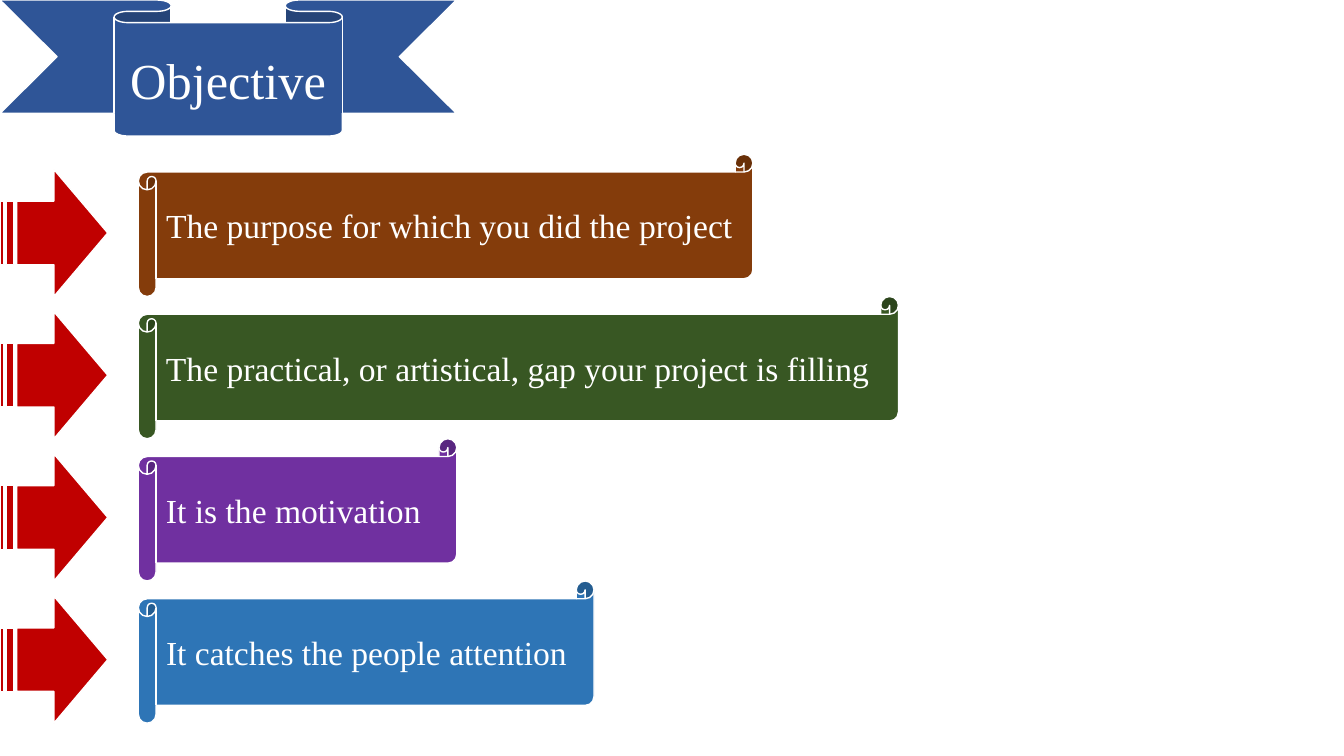
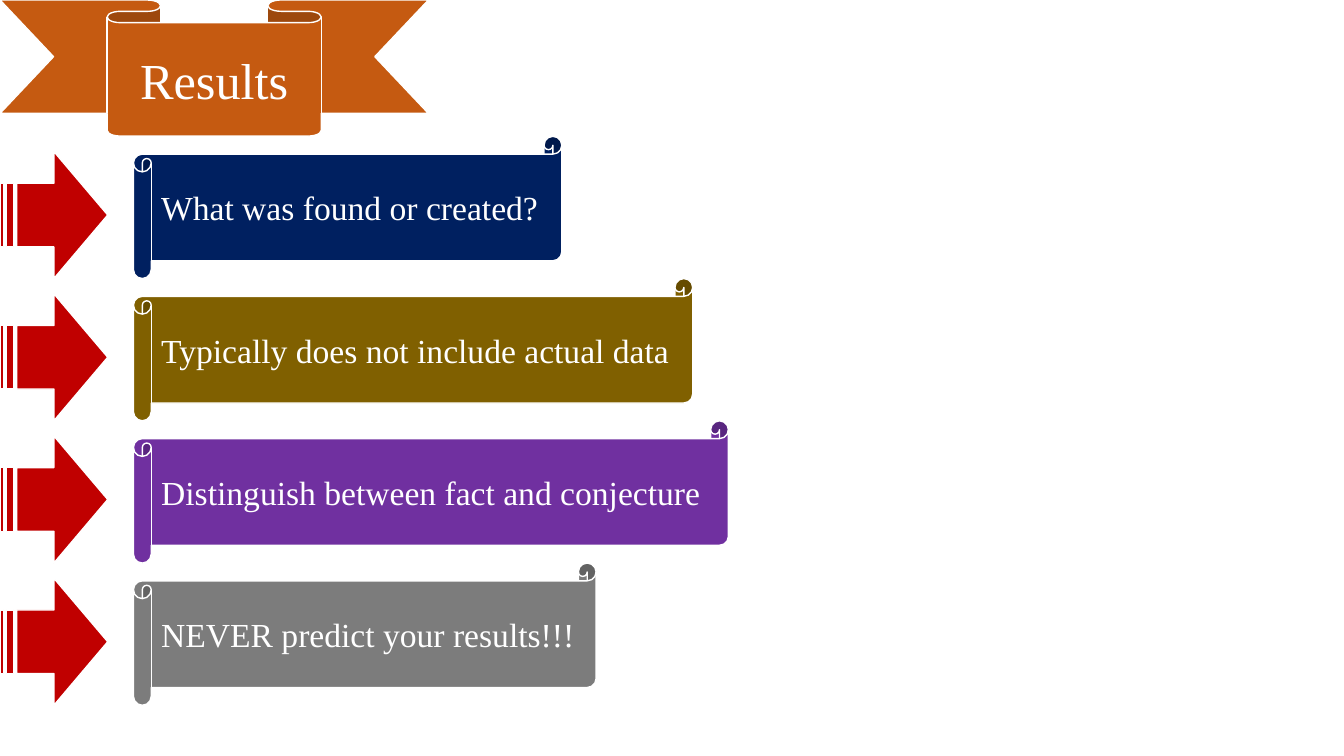
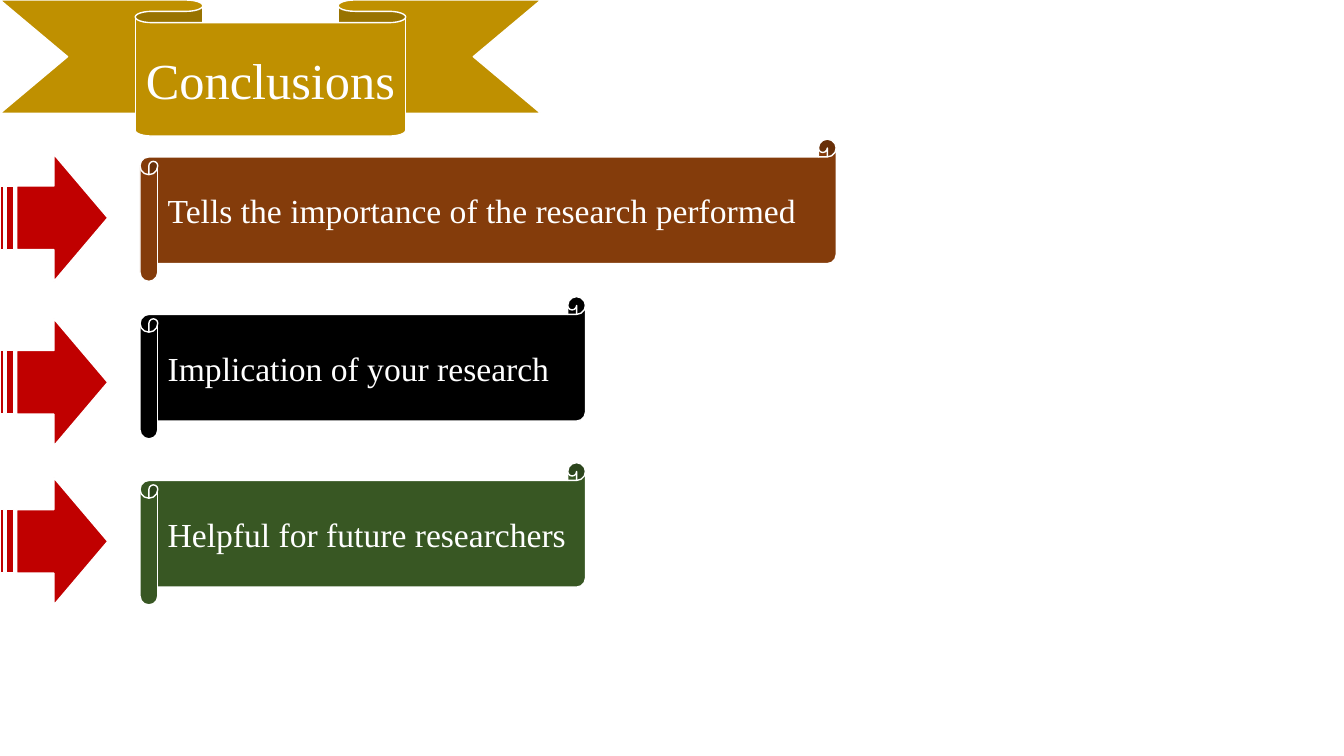
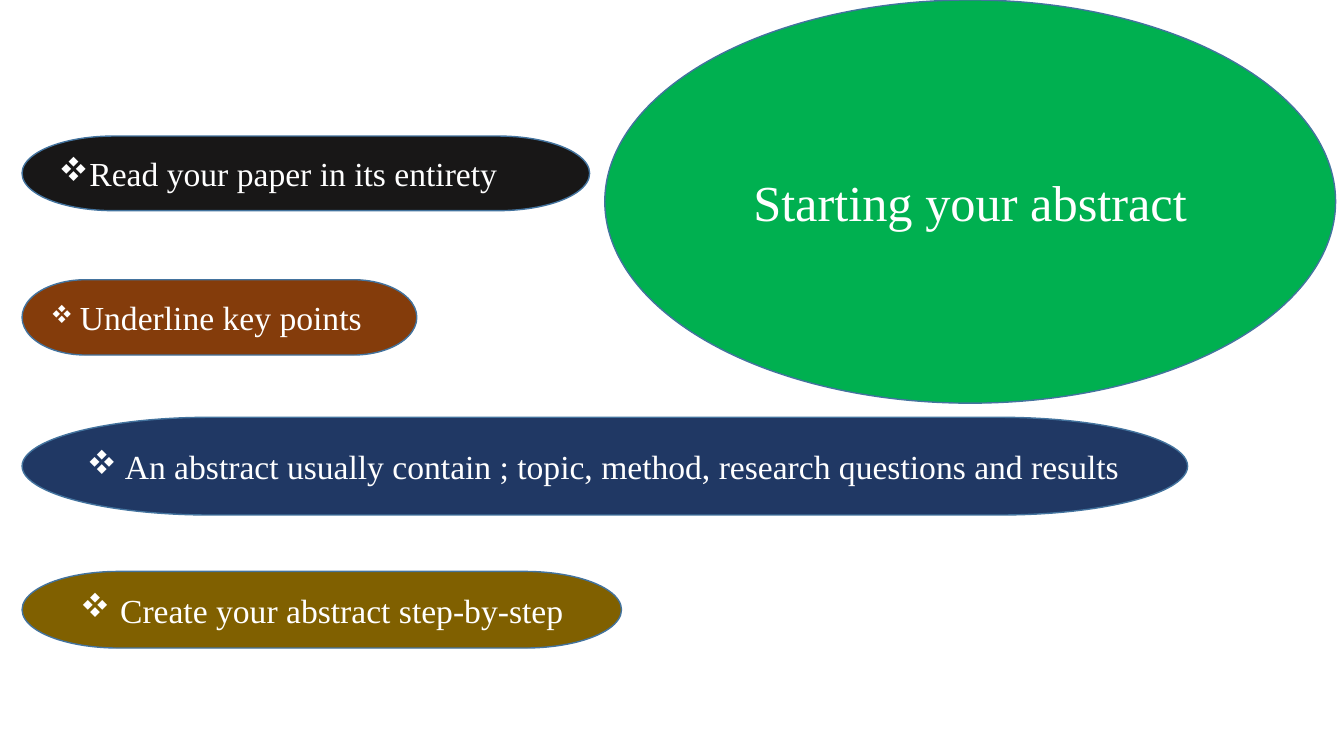
from lxml.etree import SubElement
from pptx import Presentation
from pptx.dml.color import RGBColor
from pptx.enum.shapes import MSO_SHAPE
from pptx.enum.text import MSO_ANCHOR, MSO_AUTO_SIZE, PP_ALIGN
from pptx.oxml.ns import qn
from pptx.util import Pt

WHITE = RGBColor(0xFF, 0xFF, 0xFF)
BLACK = RGBColor(0x00, 0x00, 0x00)
CHARCOAL = RGBColor(0x18, 0x17, 0x17)
GREY = RGBColor(0x7C, 0x7C, 0x7C)
BLUE = RGBColor(0x2F, 0x55, 0x97)
SKY = RGBColor(0x2E, 0x75, 0xB6)
NAVY = RGBColor(0x00, 0x20, 0x60)
INDIGO = RGBColor(0x20, 0x38, 0x64)
OUTLINE = RGBColor(0x43, 0x73, 0x9E)
ORANGE = RGBColor(0xC5, 0x5A, 0x11)
BROWN = RGBColor(0x84, 0x3C, 0x0B)
GOLD = RGBColor(0xBF, 0x90, 0x00)
OLIVE = RGBColor(0x80, 0x60, 0x00)
FOREST = RGBColor(0x38, 0x57, 0x23)
GREEN = RGBColor(0x00, 0xB0, 0x50)
PURPLE = RGBColor(0x70, 0x30, 0xA0)
RED = RGBColor(0xC0, 0x00, 0x00)

FONT = "Times New Roman"
BULLET_FONT, BULLET_CHARACTER = "Wingdings", "v"
TITLE_FRAME = {
    "word_wrap": False,
    "auto_size": MSO_AUTO_SIZE.NONE,
    "vertical_anchor": MSO_ANCHOR.MIDDLE,
    "margin_left": 0,
    "margin_right": 0,
}
SCROLL_FRAME = {"word_wrap": True, "vertical_anchor": MSO_ANCHOR.MIDDLE, "margin_right": 0}
PILL_FRAME = {"word_wrap": True, "vertical_anchor": MSO_ANCHOR.MIDDLE}

SCROLL_HEIGHT = 101.6
ARROW_WIDTH, ARROW_HEIGHT = 77, 90.8
ARROW_DROP = SCROLL_HEIGHT - ARROW_HEIGHT
RIBBON_HEIGHT = 97.2


def set_attributes(target, values):
    for name, value in values.items():
        setattr(target, name, value)


def stacked(top, count):
    return [top + index * SCROLL_HEIGHT for index in range(count)]


def add_filled_shape(slide, kind, box, fill, line=WHITE):
    shape = slide.shapes.add_shape(kind, *(Pt(length) for length in box))
    shape.shadow.inherit = False
    shape.fill.solid()
    shape.fill.fore_color.rgb = fill
    shape.line.color.rgb = line
    shape.line.width = Pt(1)
    return shape


def add_run(paragraph, text, size):
    run = paragraph.add_run()
    run.text = text
    set_attributes(run.font, {"name": FONT, "size": Pt(size)})
    run.font.color.rgb = WHITE


def place_title(slide, text, box):
    title = slide.shapes.title
    slide.shapes._spTree.append(title._element)
    sides = ("left", "top", "width", "height")
    set_attributes(title, {side: Pt(length) for side, length in zip(sides, box)})
    set_attributes(title.text_frame, TITLE_FRAME)
    paragraph = title.text_frame.paragraphs[0]
    paragraph.alignment = PP_ALIGN.CENTER
    add_run(paragraph, text, 36)


def add_bullet(paragraph, hanging):
    properties = paragraph._p.get_or_add_pPr()
    properties.set("marL", str(Pt(hanging)))
    properties.set("indent", str(-Pt(hanging)))
    SubElement(properties, qn("a:buFont")).set("typeface", BULLET_FONT)
    SubElement(properties, qn("a:buChar")).set("char", BULLET_CHARACTER)


def add_ribbon_title(slide, text, width, fill):
    add_filled_shape(slide, MSO_SHAPE.DOWN_RIBBON, (0, 0, width, RIBBON_HEIGHT), fill)
    fold = RIBBON_HEIGHT / 6
    place_title(slide, text, (width / 4, fold, width / 2, RIBBON_HEIGHT - fold))


def add_scroll(slide, text, fill, box):
    scroll = add_filled_shape(slide, MSO_SHAPE.HORIZONTAL_SCROLL, box, fill)
    set_attributes(scroll.text_frame, SCROLL_FRAME)
    paragraph = scroll.text_frame.paragraphs[0]
    paragraph.alignment = PP_ALIGN.LEFT
    add_run(paragraph, text, 24)


def add_pill(slide, runs, fill, box, alignment, hanging):
    pill = add_filled_shape(slide, MSO_SHAPE.FLOWCHART_TERMINATOR, box, fill, OUTLINE)
    set_attributes(pill.text_frame, PILL_FRAME)
    paragraph = pill.text_frame.paragraphs[0]
    paragraph.alignment = alignment
    add_bullet(paragraph, hanging)
    for text, size in runs:
        add_run(paragraph, text, size)


def build_scroll_slide(slide, title, ribbon_width, ribbon_fill, left, tops, arrow_tops, items):
    add_ribbon_title(slide, title, ribbon_width, ribbon_fill)
    for (text, width, fill), top, arrow_top in zip(items, tops, arrow_tops):
        add_scroll(slide, text, fill, (left, top, width, SCROLL_HEIGHT))
        arrow_box = (0, arrow_top, ARROW_WIDTH, ARROW_HEIGHT)
        add_filled_shape(slide, MSO_SHAPE.STRIPED_RIGHT_ARROW, arrow_box, RED)


def build_pill_slide(slide, title, title_box, left, pills):
    add_filled_shape(slide, MSO_SHAPE.OVAL, title_box, GREEN, OUTLINE)
    place_title(slide, title, title_box)
    for runs, fill, top, width, height, alignment, hanging in pills:
        add_pill(slide, runs, fill, (left, top, width, height), alignment, hanging)


SCROLL_SLIDES = [
    {
        "title": "Objective",
        "ribbon_width": 326,
        "ribbon_fill": BLUE,
        "left": 98.8,
        "tops": stacked(110.2, 4),
        "arrow_tops": stacked(110.2 + ARROW_DROP, 4),
        "items": [
            ("The purpose for which you did the project", 439, BROWN),
            ("The practical, or artistical, gap your project is filling", 543, FOREST),
            ("It is the motivation", 227.5, PURPLE),
            ("It catches the people attention", 325.5, SKY),
        ],
    },
    {
        "title": "Results",
        "ribbon_width": 306,
        "ribbon_fill": ORANGE,
        "left": 95.3,
        "tops": stacked(97.4, 4),
        "arrow_tops": stacked(97.4 + ARROW_DROP, 4),
        "items": [
            ("What was found or created?", 306, NAVY),
            ("Typically does not include actual data", 399.5, OLIVE),
            ("Distinguish between fact and conjecture", 425, PURPLE),
            ("NEVER predict your results!!!", 330.5, GREY),
        ],
    },
    {
        "title": "Conclusions",
        "ribbon_width": 386.4,
        "ribbon_fill": GOLD,
        "left": 100,
        "tops": [99.4, 211.9, 330.5],
        "arrow_tops": [110.2, 227.7, 341.3],
        "items": [
            ("Tells the importance of the research performed", 497.3, BROWN),
            ("Implication of your research", 318.2, BLACK),
            ("Helpful for future researchers", 318.2, FOREST),
        ],
    },
]

PILLS = [
    ([("Read your paper in its entirety", 24)],
     CHARCOAL, 97.2, 405.4, 53.3, PP_ALIGN.JUSTIFY, 0),
    ([(" ", 18), ("Underline key points", 24)],
     BROWN, 199.8, 282, 53.8, PP_ALIGN.JUSTIFY, 0),
    ([("An abstract usually contain ; topic, method, research questions and results", 24)],
     INDIGO, 298.1, 832.5, 69.8, PP_ALIGN.JUSTIFY, 27),
    ([(" Create your abstract step-by-step", 24)],
     OLIVE, 408.2, 428.2, 54.7, PP_ALIGN.CENTER, 22.5),
]


def main():
    presentation = Presentation()
    set_attributes(presentation, {"slide_width": Pt(960), "slide_height": Pt(540)})
    title_only = presentation.slide_layouts.get_by_name("Title Only")
    for content in SCROLL_SLIDES:
        build_scroll_slide(presentation.slides.add_slide(title_only), **content)
    build_pill_slide(
        presentation.slides.add_slide(title_only),
        "Starting your abstract",
        (432, 0, 522, 288),
        15.8,
        PILLS,
    )
    presentation.save("out.pptx")


if __name__ == "__main__":
    main()
